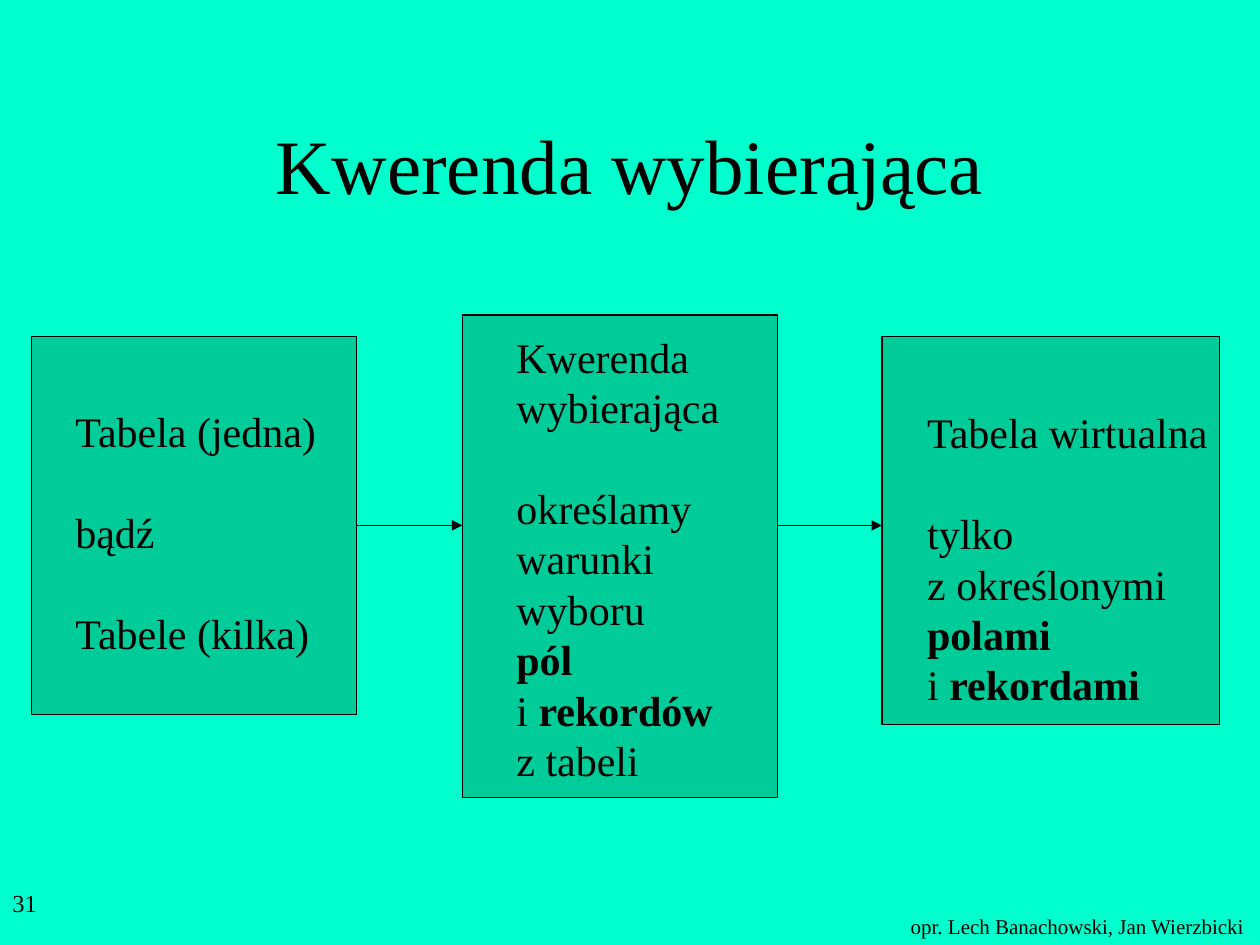
from lxml import etree
from pptx import Presentation, util as u
from pptx.dml.color import RGBColor
from pptx.enum import shapes, text
from pptx.oxml.ns import qn

HUES = {"back": "00FFCC", "box": "00CC99", "ink": "000000"}
FONT = "Times New Roman"
PITCH = 28.8  # line height of the box texts, points


def hue(name):
    return RGBColor.from_string(HUES[name])


class Deck:
    """Holds the style and the current slide."""

    def __init__(self, wide, high):
        self.prs = Presentation()
        self.prs.slide_width = u.Inches(wide)
        self.prs.slide_height = u.Inches(high)
        self.slide = self.prs.slides.add_slide(self.prs.slide_layouts[6])
        fill = self.slide.background.fill
        fill.solid()
        fill.fore_color.rgb = hue("back")

    def label(self, area, lines, size, wrap=True, align=text.PP_ALIGN.LEFT,
              anchor=text.MSO_ANCHOR.TOP, pitch=None):
        """Each line is a list of (words, bold) runs; None is a gap of one line."""
        frame = self.slide.shapes.add_textbox(*map(u.Inches, area)).text_frame
        frame.word_wrap = wrap
        frame.vertical_anchor = anchor
        para, gap = None, 0
        for line in lines:
            if line is None:
                gap += pitch
                continue
            para = frame.add_paragraph() if para else frame.paragraphs[0]
            para.alignment = align
            if pitch:
                para.line_spacing = u.Pt(pitch)
            if gap:
                para.space_before = u.Pt(gap)
                gap = 0
            for words, bold in line:
                run = para.add_run()
                run.text = words
                run.font.name = FONT
                run.font.size = u.Pt(size)
                run.font.bold = bold
                run.font.color.rgb = hue("ink")

    def box(self, area):
        rect = self.slide.shapes.add_shape(
            shapes.MSO_SHAPE.RECTANGLE, *map(u.Inches, area))
        rect.shadow.inherit = False
        rect.fill.solid()
        rect.fill.fore_color.rgb = hue("box")
        rect.line.color.rgb = hue("ink")
        rect.line.width = u.Pt(0.75)
        return rect

    def arrow(self, left, right, y, start=None):
        line = self.slide.shapes.add_connector(
            shapes.MSO_CONNECTOR.STRAIGHT,
            *map(u.Inches, (left, y, right, y)))
        if start is not None:
            line.begin_connect(start, 3)
        line.line.color.rgb = hue("ink")
        line.line.width = u.Pt(0.75)
        etree.SubElement(line.line._get_or_add_ln(), qn("a:tailEnd"), type="triangle")
        etree.SubElement(line._element.spPr, qn("a:effectLst"))


def plain(words):
    return [(words, False)]


def strong(words):
    return [(words, True)]


def main():
    deck = Deck(10, 7.5)

    # Footer and title
    deck.label((7.13, 7.2, 2.86, 0.3),
               [plain("opr. Lech Banachowski, Jan Wierzbicki")], 12, wrap=False)
    deck.label((0.75, 0.67, 8.5, 1.25), [plain("Kwerenda wybierająca")], 44,
               align=text.PP_ALIGN.CENTER, anchor=text.MSO_ANCHOR.MIDDLE)

    # Boxes: outline, text area, wrap, lines
    steps = [
        ((0.25, 2.67, 2.58, 3), (0.5, 3.17, 2.13, 2.1), False,
         [plain("Tabela (jedna)"), None, plain("bądź"), None,
          plain("Tabele (kilka)")]),
        ((3.67, 2.5, 2.5, 3.83), (4, 2.58, 1.85, 3.7), True,
         [plain("Kwerenda"), plain("wybierająca"), None, plain("określamy"),
          plain("warunki"), plain("wyboru"), strong("pól"),
          plain("i ") + strong("rekordów"), plain("z tabeli")]),
        ((7, 2.67, 2.68, 3.08), (7.26, 3.18, 2.45, 2.5), False,
         [plain("Tabela wirtualna"), None, plain("tylko"),
          plain("z określonymi"), strong("polami"),
          plain("i ") + strong("rekordami")]),
    ]
    rects = []
    for area, inner, wrap, lines in steps:
        rects.append(deck.box(area))
        deck.label(inner, lines, 24, wrap=wrap, pitch=PITCH)

    # Arrows from box to box
    deck.arrow(2.83, 3.67, 4.17, start=rects[0])
    deck.arrow(6.17, 7, 4.17)

    # Page number
    deck.label((0, 7, 2.08, 0.5), [plain("31")], 14)

    deck.prs.save("out.pptx")


if __name__ == "__main__":
    main()
